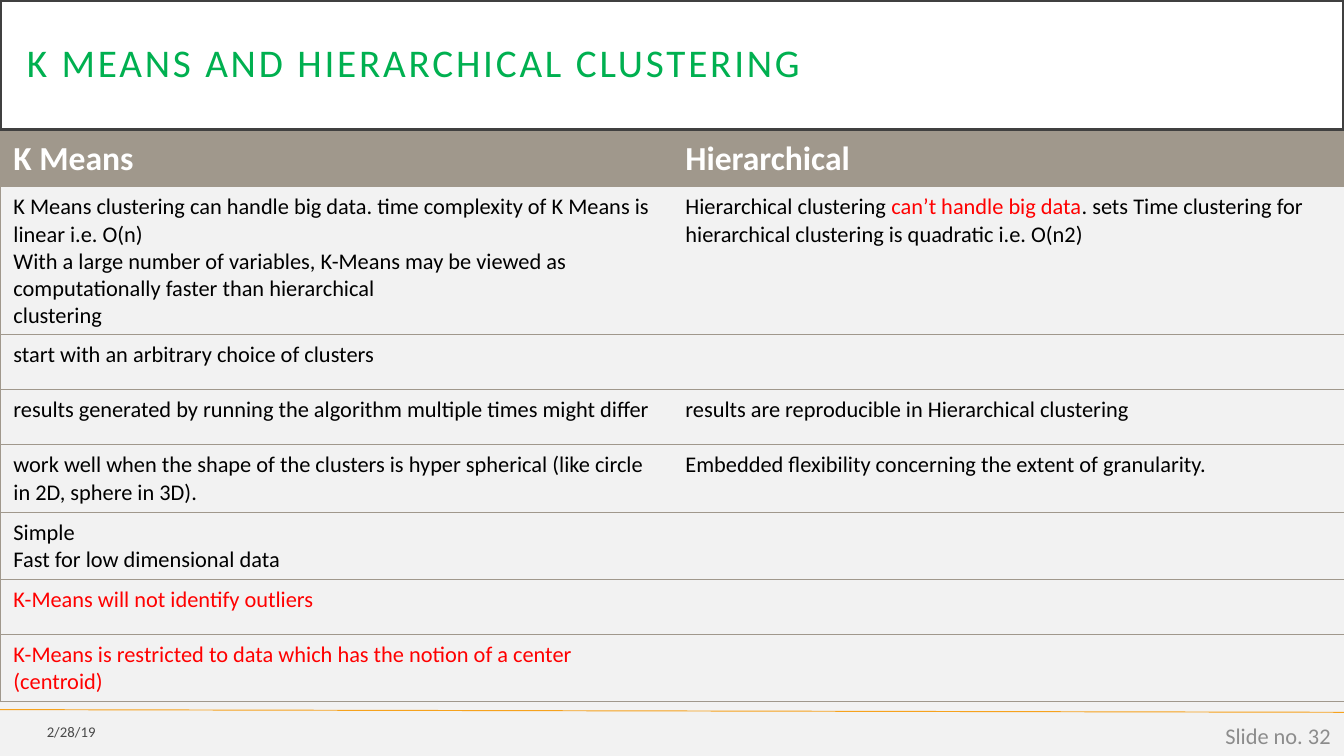
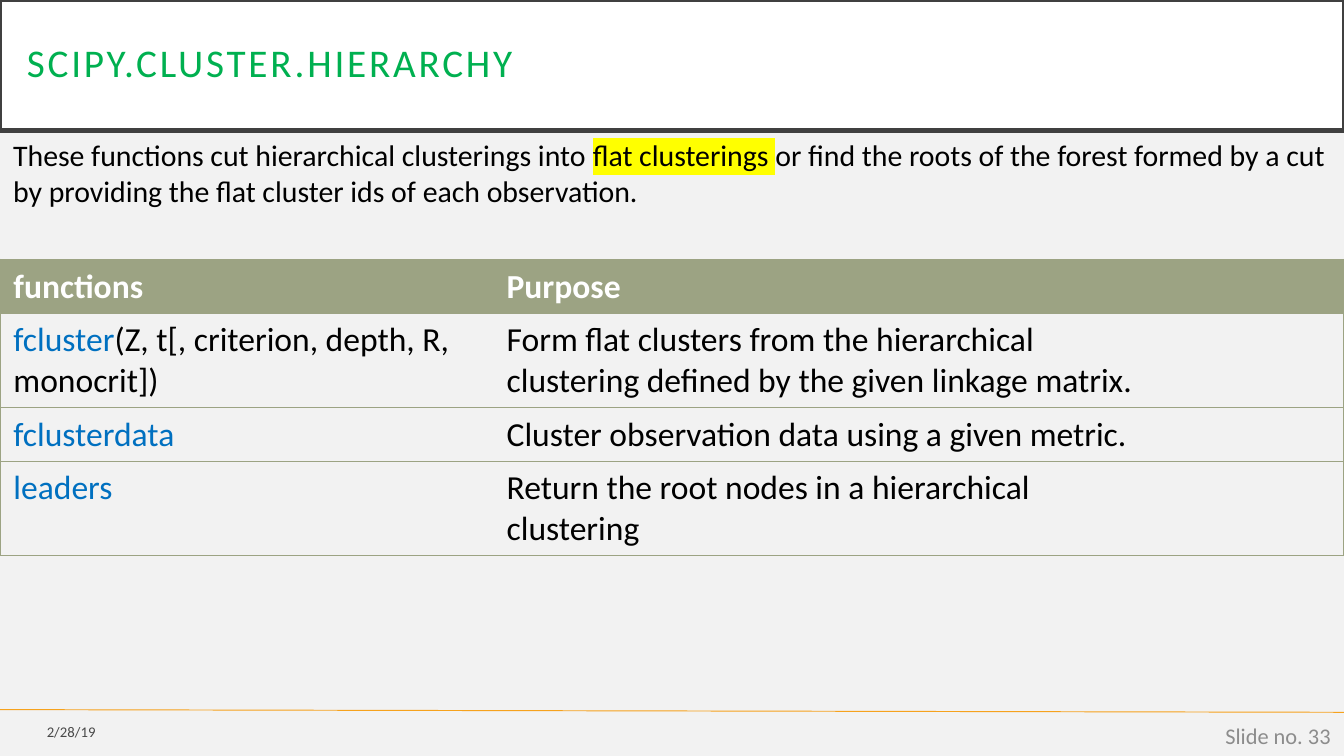
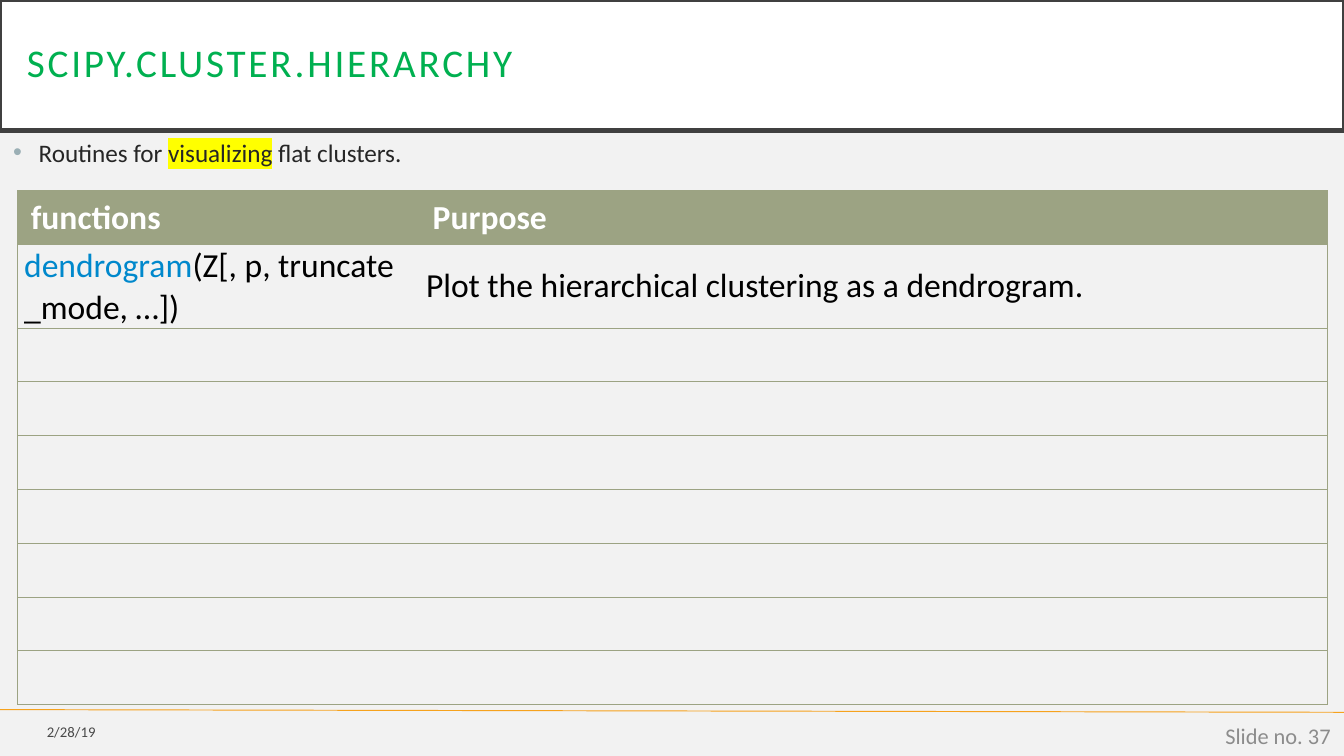
from dataclasses import dataclass

from lxml import etree
from pptx import Presentation
from pptx import util as u
from pptx.dml.color import RGBColor
from pptx.enum import shapes, text
from pptx.oxml import ns


@dataclass(frozen=True)
class Theme:
    """Colours, type sizes and font shared by all slides."""
    font: str = "Calibri"
    paper: str = "F2F2F2"
    band: str = "FFFFFF"
    band_edge: str = "404040"
    title: str = "00B050"
    rule: str = "F6A21D"
    ink: str = "000000"
    soft_ink: str = "262626"
    white: str = "FFFFFF"
    warning: str = "FF0000"
    link: str = "0070C0"
    bright_link: str = "0088CC"
    page_number: str = "8C8C8C"
    marker: str = "FFFF00"
    bullet: str = "9BAFB5"
    taupe: str = "A0988C"
    sage: str = "9CA383"
    title_size: float = 21
    head_size: float = 18
    intro_size: float = 16
    bullet_size: float = 13.5
    small_size: float = 12
    date_size: float = 7.9


THEME = Theme()
WIDTH = 10
HEIGHT = WIDTH * 9 / 16
BAND_HEIGHT = 0.97
FOOTER_TOP = 5.28
DATE = "2/28/19"
NO_STYLE = "{2D5ABB26-0587-4C30-8999-92F81FD0307C}"
BORDERS = {"left": "a:lnL", "right": "a:lnR", "top": "a:lnT", "bottom": "a:lnB"}


def rgb(colour):
    """Turn a hex string into a colour."""
    return RGBColor.from_string(colour)


def assign(target, values):
    """Set attributes from a dict of format values."""
    for name, value in values.items():
        setattr(target, name, value)


def sub(parent, tag, **attributes):
    """Append one XML element and return it."""
    return etree.SubElement(parent, ns.qn(tag), attributes)


def inches(box):
    """Convert a box of numbers to lengths."""
    return [u.Inches(value) for value in box]


def margins(left, top, right, bottom):
    """Format values for the four insets of a frame or cell."""
    names = ("margin_left", "margin_top", "margin_right", "margin_bottom")
    return dict(zip(names, inches((left, top, right, bottom))))


def add_run(paragraph, words, size, colour, bold=False, marked=False):
    """Write one formatted run, with a highlight where marked."""
    run = paragraph.add_run()
    run.text = words
    assign(run.font, {"name": THEME.font, "size": u.Pt(size), "bold": bold})
    run.font.color.rgb = rgb(colour)
    if marked:
        highlight = etree.Element(ns.qn("a:highlight"))
        sub(highlight, "a:srgbClr", val=THEME.marker)
        run.font._element.find(ns.qn("a:solidFill")).addnext(highlight)
    return run


def add_text(slide, box, parts, size, colour, **frame_values):
    """Place a one-paragraph text box; parts are (words, marked) pairs."""
    frame = slide.shapes.add_textbox(*inches(box)).text_frame
    assign(frame, {"word_wrap": True, **frame_values})
    paragraph = frame.paragraphs[0]
    for words, marked in parts:
        add_run(paragraph, words, size, colour, marked=marked)
    return paragraph


def add_title(slide, box, words):
    """Format the title placeholder as the outlined band."""
    title = slide.shapes.title
    assign(title, dict(zip(("left", "top", "width", "height"), inches(box))))
    title.fill.solid()
    title.fill.fore_color.rgb = rgb(THEME.band)
    title.line.color.rgb = rgb(THEME.band_edge)
    title.line.width = u.Pt(2.5)
    frame = title.text_frame
    assign(frame, {"word_wrap": True, "auto_size": text.MSO_AUTO_SIZE.NONE,
                   "vertical_anchor": text.MSO_ANCHOR.MIDDLE,
                   **margins(0.2, 0.2, 0.2, 0.2)})
    heading = frame.paragraphs[0]
    assign(heading, {"alignment": text.PP_ALIGN.LEFT, "line_spacing": 0.9})
    run = add_run(heading, words, THEME.title_size, THEME.title)
    run.font._element.set("spc", "150")


def add_footer(slide, box, number):
    """Draw the rule, the date and the slide number."""
    left, top, width, _ = box
    rule = slide.shapes.add_connector(
        shapes.MSO_CONNECTOR.STRAIGHT,
        *inches((left, top, left + width, top + 0.02)))
    rule.line.color.rgb = rgb(THEME.rule)
    rule.line.width = u.Pt(0.5)
    sub(rule._element.spPr, "a:effectLst")

    middle = text.MSO_ANCHOR.MIDDLE
    date = add_text(slide, (left, top + 0.03, 0.81, 0.27), [(DATE, False)],
                    THEME.date_size, THEME.ink, vertical_anchor=middle)
    ink = date.runs[0].font._element.find(".//" + ns.qn("a:srgbClr"))
    sub(ink, "a:alpha", val="70000")
    page = add_text(slide, (left + width - 2.25, top + 0.04, 2.25, 0.3),
                    [(f"Slide no. {number}", False)], THEME.small_size,
                    THEME.page_number, vertical_anchor=middle)
    for paragraph in (date, page):
        paragraph.alignment = text.PP_ALIGN.RIGHT


def add_borders(cell, sides, colour):
    """Draw thin borders on the named sides, none on the others."""
    properties = cell._tc.get_or_add_tcPr()
    for index, (side, tag) in enumerate(BORDERS.items()):
        border = etree.Element(ns.qn(tag), w=str(u.Pt(0.5)))
        if side in sides:
            sub(sub(border, "a:solidFill"), "a:srgbClr", val=colour)
        else:
            sub(border, "a:noFill")
        properties.insert(index, border)


def add_grid(slide, box, columns, heights, heads, body, accent, size,
             cell_values=None):
    """Place a table with a filled head row and horizontal rules.

    A body cell is a list of paragraphs, a paragraph a list of (words, colour).
    """
    frame = slide.shapes.add_table(len(heights), len(columns), *inches(box))
    table = frame.table
    table._tbl.tblPr.find(ns.qn("a:tableStyleId")).text = NO_STYLE
    for column, width in zip(table.columns, columns):
        column.width = u.Inches(width)
    for row, height in zip(table.rows, heights):
        row.height = u.Inches(height)
    frame.height = u.Inches(box[3])

    head_row = [[[(words, THEME.white)]] for words in heads]
    content = [head_row, *body]
    for r in range(len(heights)):
        for c in range(len(columns)):
            cell = table.cell(r, c)
            if r == 0:
                cell.fill.solid()
                cell.fill.fore_color.rgb = rgb(accent)
            else:
                cell.fill.background()
            sides = {"top", "bottom"}
            sides |= {"left"} if c == 0 else set()
            sides |= {"right"} if c == len(columns) - 1 else set()
            add_borders(cell, sides, accent)
            if r >= len(content) or c >= len(content[r]):
                continue
            if r:
                assign(cell, cell_values or {})
            for index, runs in enumerate(content[r][c]):
                paragraph = (cell.text_frame.add_paragraph() if index
                             else cell.text_frame.paragraphs[0])
                for words, colour in runs:
                    add_run(paragraph, words, size if r else THEME.head_size,
                            colour, bold=r == 0)


def plain(*lines, colour=THEME.ink):
    """Make a cell of single-colour paragraphs."""
    return [[(line, colour)] for line in lines]


def start_slide(deck, title, number):
    """Add a slide with the shared band and footer."""
    slide = deck.slides.add_slide(deck.slide_layouts[5])
    add_title(slide, (0, 0, WIDTH, BAND_HEIGHT), title)
    add_footer(slide, (0, FOOTER_TOP, WIDTH, HEIGHT - FOOTER_TOP), number)
    return slide


def comparison_slide(deck):
    """Compare the two clustering methods."""
    slide = start_slide(deck, "K MEANS AND HIERARCHICAL CLUSTERING", 32)
    body = [
        [plain("K Means clustering can handle big data. time complexity of "
               "K Means is linear i.e. O(n) ",
               "With a large number of variables, K-Means may be viewed as "
               "computationally faster than hierarchical",
               "clustering "),
         [[("Hierarchical clustering ", THEME.ink),
           ("can’t handle big data", THEME.warning),
           (". sets Time clustering for hierarchical clustering is "
            "quadratic i.e. O(n2)", THEME.ink)]]],
        [plain("start with an arbitrary choice of clusters")],
        [plain("results generated by running the algorithm multiple times "
               "might differ"),
         plain("results are reproducible in Hierarchical clustering")],
        [plain("work well when the shape of the clusters is hyper spherical "
               "(like circle in 2D, sphere in 3D)."),
         plain("Embedded flexibility concerning the extent of granularity.")],
        [plain("Simple", "Fast for low dimensional data")],
        [plain("K-Means will not identify outliers", colour=THEME.warning)],
        [plain("K-Means is restricted to data which has the notion of a "
               "center (centroid)", colour=THEME.warning)],
    ]
    add_grid(slide, (0, 0.98, WIDTH, 4.22), [WIDTH / 2] * 2, [0.41] * 8,
             ["K Means ", "Hierarchical"], body, THEME.taupe, THEME.small_size)


def flat_cluster_slide(deck):
    """List the functions that cut clusterings into flat ones."""
    slide = start_slide(deck, "SCIPY.CLUSTER.HIERARCHY", 33)
    body = [
        [[[("fcluster", THEME.link),
           ("(Z, t[, criterion, depth, R, monocrit])\t", THEME.ink)]],
         plain("Form flat clusters from the hierarchical clustering defined "
               "by the given linkage matrix.")],
        [plain("fclusterdata", colour=THEME.link),
         plain("Cluster observation data using a given metric.")],
        [plain("leaders", colour=THEME.link),
         plain("Return the root nodes in a hierarchical clustering")],
    ]
    add_grid(slide, (0, 1.93, WIDTH, 1.52), [3.67, 5.04, 1.29], [0.21] * 4,
             ["functions ", "Purpose"], body, THEME.sage, THEME.head_size)
    intro = [("These functions cut hierarchical clusterings into ", False),
             ("flat clusterings ", True),
             ("or find the roots of the forest formed by a cut by providing "
              "the flat cluster ids of each observation.", False)]
    add_text(slide, (0, BAND_HEIGHT, WIDTH, 0.64), intro, THEME.intro_size,
             THEME.ink, auto_size=text.MSO_AUTO_SIZE.SHAPE_TO_FIT_TEXT)


def visualizing_slide(deck):
    """List the routine that draws a dendrogram."""
    slide = start_slide(deck, "SCIPY.CLUSTER.HIERARCHY", 37)
    routines = add_text(slide, (0, BAND_HEIGHT, WIDTH, 4.34),
                        [("Routines for ", False), ("visualizing", True),
                         (" flat clusters.", False)],
                        THEME.bullet_size, THEME.soft_ink)
    routines.space_before = u.Pt(7.5)
    properties = routines._p.get_or_add_pPr()
    indent = u.Inches(0.19)
    properties.set("marL", str(indent))
    properties.set("indent", str(-indent))
    sub(sub(properties, "a:buClr"), "a:srgbClr", val=THEME.bullet)
    sub(properties, "a:buFont", typeface="Arial")
    sub(properties, "a:buChar", char="•")

    body = [[[[("dendrogram", THEME.bright_link),
               ("(Z[,\u00a0p,\u00a0truncate_mode,\u00a0…])", THEME.ink)]],
             plain("Plot the hierarchical clustering as a dendrogram.")]]
    heights = [0.23, 0.33] * 2 + [0.23] * 5
    add_grid(slide, (0.13, 1.42, 9.75, 3.08), [2.99, 5.51, 1.25], heights,
             ["functions ", "Purpose"], body, THEME.sage, THEME.head_size,
             {"vertical_anchor": text.MSO_ANCHOR.MIDDLE,
              **margins(0.05, 0.01, 0.08, 0.01)})


def main():
    """Build and save the deck."""
    deck = Presentation()
    assign(deck, {"slide_width": u.Inches(WIDTH),
                  "slide_height": u.Inches(HEIGHT)})
    paper = deck.slide_master.background.fill
    paper.solid()
    paper.fore_color.rgb = rgb(THEME.paper)
    for build in (comparison_slide, flat_cluster_slide, visualizing_slide):
        build(deck)
    deck.save("out.pptx")


main()
